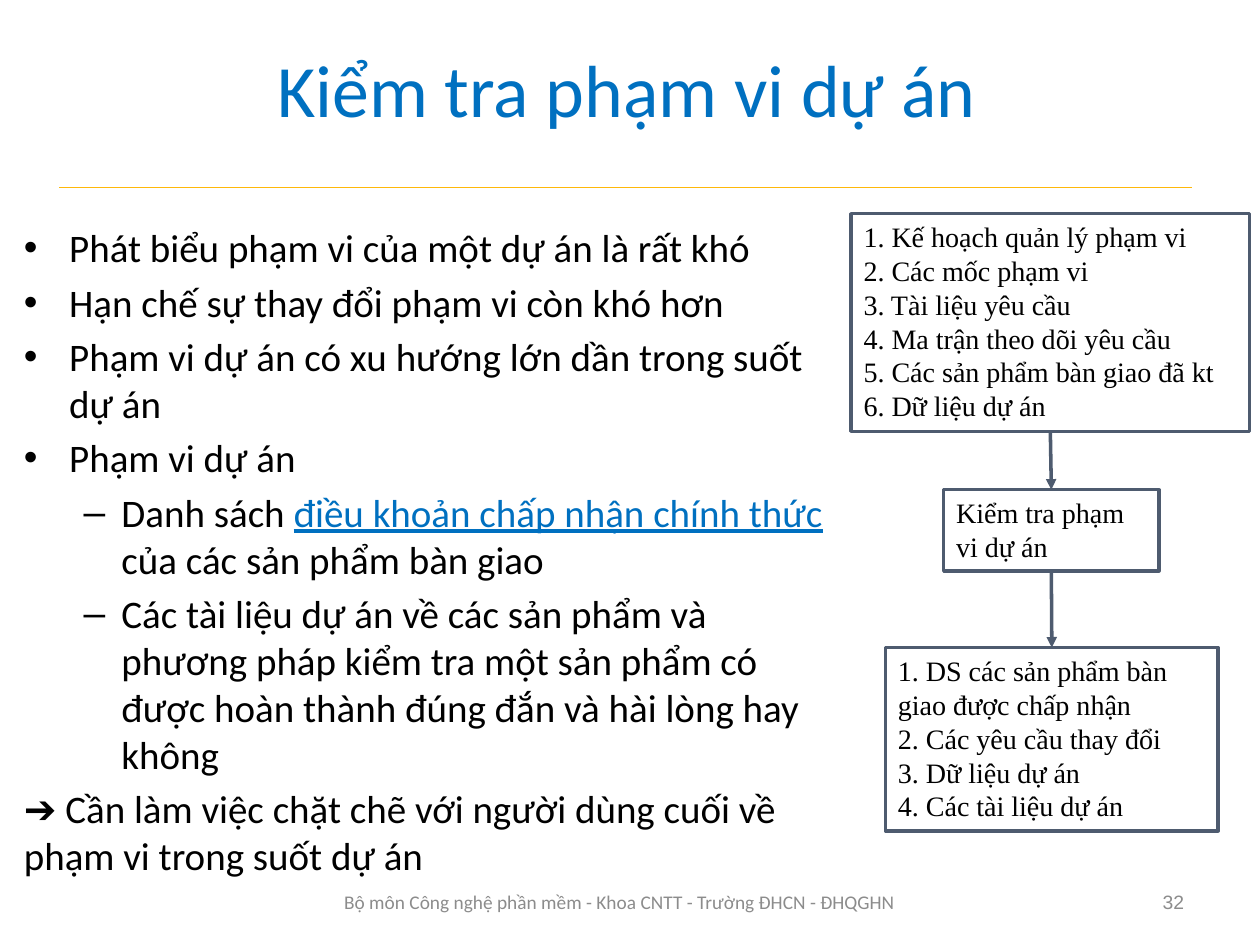
from itertools import pairwise

from lxml import etree
from pptx import Presentation
from pptx.dml.color import RGBColor
from pptx.enum.shapes import MSO_CONNECTOR, MSO_SHAPE
from pptx.enum.text import MSO_ANCHOR, MSO_AUTO_SIZE, PP_ALIGN
from pptx.oxml.ns import qn
from pptx.util import Cm, Pt

BLUE, GOLD, SLATE = "0070C0", "FEB80A", "4E5B6F"
BLACK, GREY = "000000", "8C8C8C"

# Bullet character, left margin and hanging indent (cm) for each level
LEVELS = {0: ("•", 0.91, -0.91), 1: ("–", 1.96, -0.76)}

# Level (None: no bullet) and runs (text, emphasised) of each paragraph
BODY = [
    (0, [("Phát biểu phạm vi của một dự án là rất khó", False)]),
    (0, [("Hạn chế sự thay đổi phạm vi còn khó hơn", False)]),
    (0, [("Phạm vi dự án có xu hướng lớn dần trong suốt dự án", False)]),
    (0, [("Phạm vi dự án", False)]),
    (1, [("Danh sách ", False),
         ("điều khoản chấp nhận chính thức", True),
         (" của các sản phẩm bàn giao", False)]),
    (1, [("Các tài liệu dự án về các sản phẩm và phương pháp kiểm tra một "
          "sản phẩm có được hoàn thành đúng đắn và hài lòng hay không", False)]),
    (None, [("➔ Cần làm việc chặt chẽ với người dùng cuối về phạm vi trong "
             "suốt dự án", False)]),
]

# Place (cm) and lines of each box in the flow, top to bottom
FLOW = [
    ((17.09, 4.29, 8.0, 4.37),
     ["1. Kế hoạch quản lý phạm vi", "2. Các mốc phạm vi",
      "3. Tài liệu yêu cầu", "4. Ma trận theo dõi yêu cầu",
      "5. Các sản phẩm bàn giao đã kt", "6. Dữ liệu dự án"]),
    ((18.95, 9.83, 4.32, 1.63), ["Kiểm tra phạm vi dự án"]),
    ((17.78, 13.0, 6.68, 3.68),
     ["1. DS các sản phẩm bàn giao được chấp nhận",
      "2. Các yêu cầu thay đổi", "3. Dữ liệu dự án",
      "4. Các tài liệu dự án"]),
]


def rgb(color):
    return RGBColor.from_string(color)


def set_font(font, name, size, color):
    font.name = name
    font.size = Pt(size)
    font.color.rgb = rgb(color)


def add_paragraph(tf, index):
    return tf.add_paragraph() if index else tf.paragraphs[0]


def add_text_box(s, box):
    tf = s.shapes.add_textbox(*map(Cm, box)).text_frame
    tf.word_wrap = True
    return tf


def add_label(s, box, text, name, size, color, align):
    tf = add_text_box(s, box)
    tf.vertical_anchor = MSO_ANCHOR.MIDDLE
    p = tf.paragraphs[0]
    p.text = text
    p.alignment = align
    set_font(p.font, name, size, color)


def set_bullet(p, level):
    char, margin, indent = LEVELS[level]
    p.level = level
    pPr = p._p.get_or_add_pPr()
    pPr.set("marL", str(Cm(margin)))
    pPr.set("indent", str(Cm(indent)))
    # Bullet elements go before the default run properties
    font = etree.Element(qn("a:buFont"), typeface="Arial")
    bullet = etree.Element(qn("a:buChar"), char=char)
    defaults = pPr.find(qn("a:defRPr"))
    defaults.addprevious(font)
    defaults.addprevious(bullet)


def add_body(s, box, paragraphs):
    tf = add_text_box(s, box)
    for i, (level, runs) in enumerate(paragraphs):
        p = add_paragraph(tf, i)
        p.space_before = Pt(4.3)
        set_font(p.font, "Calibri", 22.2, BLACK)
        if level is not None:
            set_bullet(p, level)
        for text, emphasised in runs:
            r = p.add_run()
            r.text = text
            if emphasised:
                r.font.color.rgb = rgb(BLUE)
                r.font.underline = True


def add_flow_box(s, box, lines):
    sp = s.shapes.add_shape(MSO_SHAPE.RECTANGLE, *map(Cm, box))
    sp.shadow.inherit = False
    sp.fill.background()
    sp.line.color.rgb = rgb(SLATE)
    sp.line.width = Pt(2)
    tf = sp.text_frame
    tf.word_wrap = True
    tf.auto_size = MSO_AUTO_SIZE.SHAPE_TO_FIT_TEXT
    tf.vertical_anchor = MSO_ANCHOR.TOP
    for i, line in enumerate(lines):
        p = add_paragraph(tf, i)
        p.text = line
        p.alignment = PP_ALIGN.LEFT
        set_font(p.font, "Times New Roman", 16, BLACK)
    return sp


def add_line(s, ends, color, width):
    line = s.shapes.add_connector(MSO_CONNECTOR.STRAIGHT, *map(Cm, ends))
    line.line.color.rgb = rgb(color)
    line.line.width = Pt(width)
    etree.SubElement(line._element.spPr, qn("a:effectLst"))
    return line


def add_arrow(s, upper, lower):
    arrow = add_line(s, (0, 0, 0, 0), SLATE, 2)
    arrow.begin_connect(upper, 2)
    arrow.end_connect(lower, 0)
    etree.SubElement(arrow.line._get_or_add_ln(), qn("a:tailEnd"),
                     type="triangle")


def main():
    prs = Presentation()
    prs.slide_width, prs.slide_height = Cm(25.3), Cm(18.97)
    s = prs.slides.add_slide(prs.slide_layouts[6])

    # Title and rule
    add_line(s, (1.19, 3.76, 23.93, 3.76), GOLD, 0.75)
    add_label(s, (1.19, 0.18, 22.78, 3.18), "Kiểm tra phạm vi dự án",
              "Calibri", 42, BLUE, PP_ALIGN.CENTER)

    # Body text
    add_body(s, (0.23, 4.37, 16.87, 13.21), BODY)

    # Footer and slide number
    add_label(s, (6.3, 17.6, 12.29, 1.02),
              "Bộ môn Công nghệ phần mềm - Khoa CNTT - Trường ĐHCN - ĐHQGHN",
              "Calibri", 11, GREY, PP_ALIGN.CENTER)
    add_label(s, (18.14, 17.6, 5.89, 1.02), "32",
              "Arial", 11, GREY, PP_ALIGN.RIGHT)

    # Flow of boxes, each joined to the next
    boxes = [add_flow_box(s, box, lines) for box, lines in FLOW]
    for upper, lower in pairwise(boxes):
        add_arrow(s, upper, lower)

    prs.save("out.pptx")


if __name__ == "__main__":
    main()
